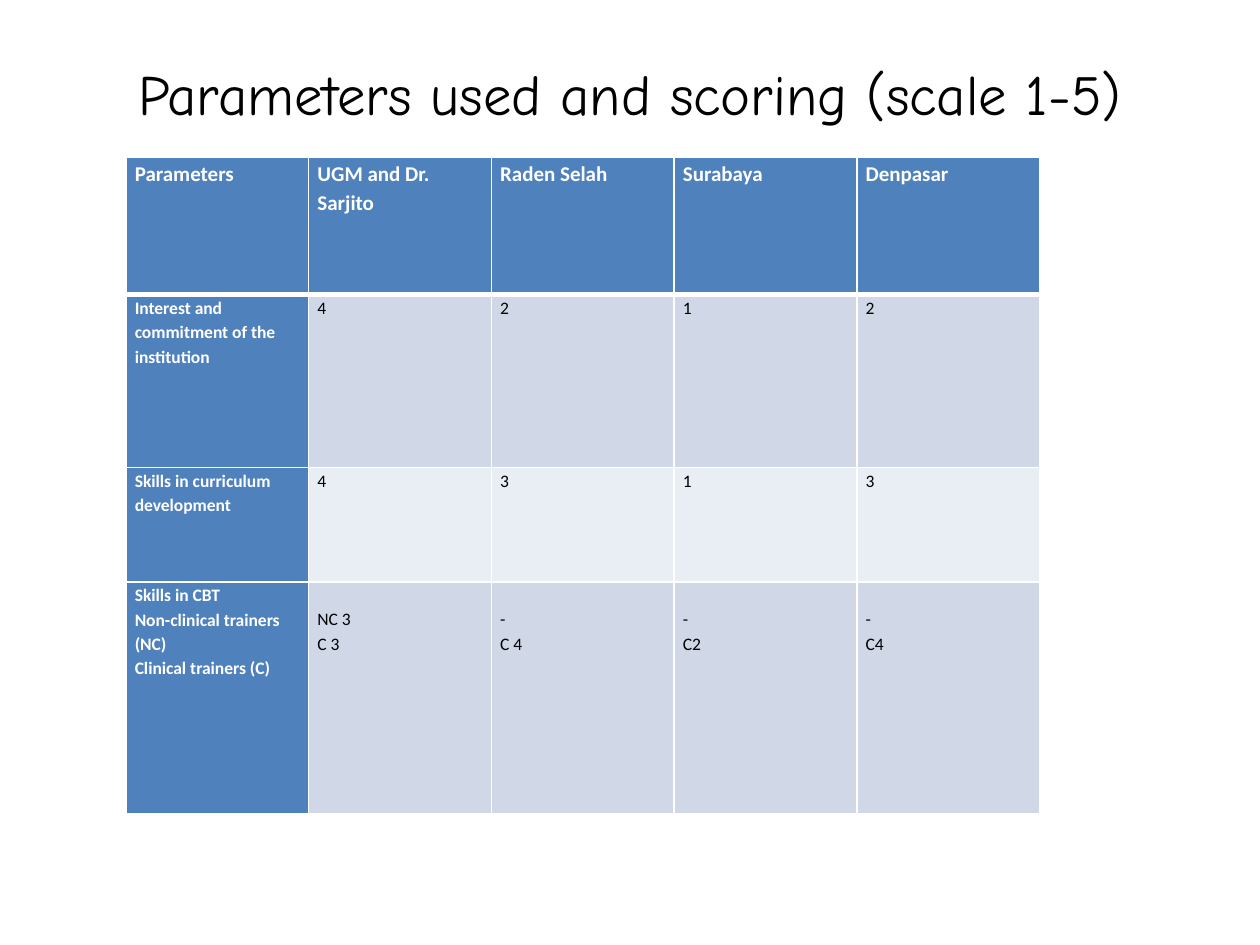
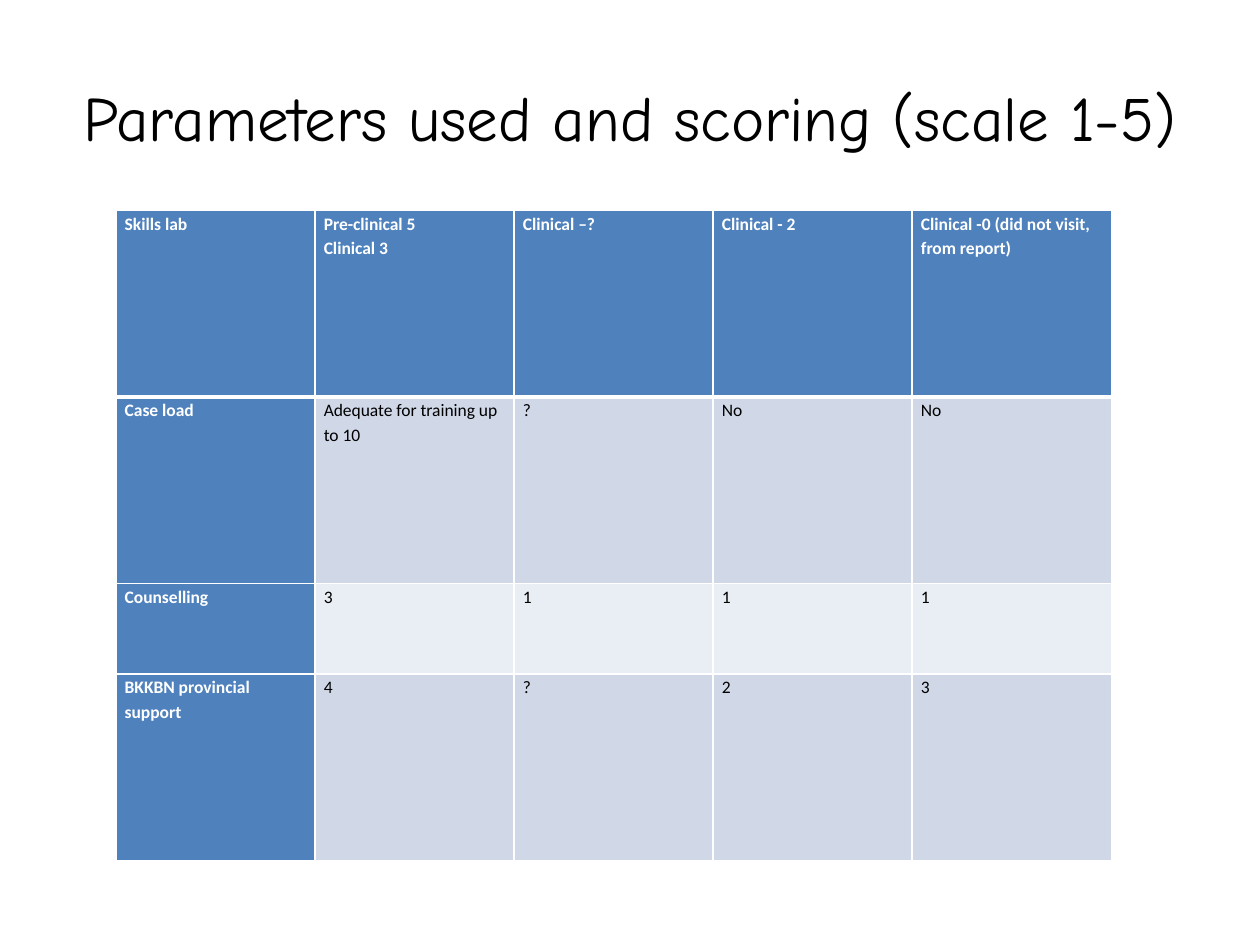
from dataclasses import dataclass

from lxml.etree import SubElement
from pptx import Presentation
from pptx.dml.color import RGBColor
from pptx.enum.text import MSO_ANCHOR, MSO_AUTO_SIZE, PP_ALIGN
from pptx.oxml.ns import qn
from pptx.util import Inches, Pt

TITLE = "Parameters used and scoring (scale 1-5)"
TITLE_FONT = "Comic Neue"
TABLE_FONT = "Calibri"
BLACK = "000000"
WHITE = "FFFFFF"
BLUE = "4F81BD"
BANDS = ("D0D8E8", "E9EDF4")
BODY_SIZE = 10
LINE_SPACING = 1.15
LINE_HEIGHT = 0.19  # one body line, in inches
THIN, THICK = 1, 3


@dataclass
class ScoreSlide:
    """One slide: a title and a table of scores."""
    title_size: float
    title_height: float
    left: float
    top: float
    column_width: float
    row_heights: list[float]
    header_size: float
    rows: list[list[str]]
    lowered_row: int | None = None  # scores start one line down, beside the sub-items


SLIDES = [
    ScoreSlide(
        title_size=32.4, title_height=0.87, left=1, top=1.25,
        column_width=1.45, row_heights=[1.09, 1.37, 0.91, 1.84], header_size=12,
        rows=[
            ["Parameters", "UGM and Dr. Sarjito", "Raden Selah", "Surabaya", "Denpasar"],
            ["Interest and commitment of the institution", "4", "2", "1", "2"],
            ["Skills in curriculum development", "4", "3", "1", "3"],
            ["Skills in CBT\nNon-clinical trainers (NC)\nClinical trainers (C)",
             "NC 3\nC 3", "-\nC 4", "-\nC2", "-\nC4"],
        ],
        lowered_row=3,
    ),
    ScoreSlide(
        title_size=36, title_height=1.25, left=0.92, top=1.67,
        column_width=1.58, row_heights=[1.48, 1.48, 0.72, 1.48], header_size=BODY_SIZE,
        rows=[
            ["Skills lab", "Pre-clinical 5\nClinical 3", "Clinical –?", "Clinical - 2",
             "Clinical -0 (did not visit, from report)"],
            ["Case load", "Adequate for training up to 10", "?", "No", "No"],
            ["Counselling", "3", "1", "1", "1"],
            ["BKKBN provincial support", "4", "?", "2", "3"],
        ],
    ),
]


def color(code: str) -> RGBColor:
    """Turn a hex string into a colour."""
    return RGBColor.from_string(code)


def set_font(font, name: str, size: float, code: str, bold: bool = False) -> None:
    """Set the typeface, size, colour and weight of a font."""
    font.name = name
    font.size = Pt(size)
    font.color.rgb = color(code)
    font.bold = bold


def add_title(page, spec_slide: ScoreSlide) -> None:
    """Place and format the title placeholder."""
    title = page.shapes.title
    title.left, title.top = Inches(0.5), Inches(0.3)
    title.width, title.height = Inches(9), Inches(spec_slide.title_height)
    frame = title.text_frame
    frame.text = TITLE
    frame.auto_size = MSO_AUTO_SIZE.NONE
    frame.vertical_anchor = MSO_ANCHOR.MIDDLE
    para = frame.paragraphs[0]
    para.alignment = PP_ALIGN.CENTER
    set_font(para.font, TITLE_FONT, spec_slide.title_size, BLACK)


def set_borders(cell, top: float, bottom: float) -> None:
    """Draw white borders, ahead of the fill as the schema requires."""
    properties = cell._tc.get_or_add_tcPr()
    widths = {"a:lnL": THIN, "a:lnR": THIN, "a:lnT": top, "a:lnB": bottom}
    for tag, width in widths.items():
        line = SubElement(properties, qn(tag), w=str(Pt(width)))
        fill = SubElement(line, qn("a:solidFill"))
        SubElement(fill, qn("a:srgbClr"), val=WHITE)


def fill_cell(cell, text: str, size: float, heading: bool, band: str) -> None:
    """Write and colour one cell."""
    cell.fill.solid()
    cell.fill.fore_color.rgb = color(BLUE if heading else band)
    cell.margin_left = cell.margin_right = Inches(0.07)
    cell.margin_top = cell.margin_bottom = 0
    cell.text_frame.text = text
    for para in cell.text_frame.paragraphs:
        para.line_spacing = LINE_SPACING
        set_font(para.font, TABLE_FONT, size, WHITE if heading else BLACK, heading)


def add_score_table(page, score: ScoreSlide) -> None:
    """Add the table with a blue header row and first column."""
    column_count = len(score.rows[0])
    table = page.shapes.add_table(
        len(score.rows), column_count, Inches(score.left), Inches(score.top),
        Inches(score.column_width * column_count), Inches(sum(score.row_heights)),
    ).table
    table.first_col = True
    for column in table.columns:
        column.width = Inches(score.column_width)
    for row_index, texts in enumerate(score.rows):
        table.rows[row_index].height = Inches(score.row_heights[row_index])
        size = score.header_size if row_index == 0 else BODY_SIZE
        band = BANDS[(row_index - 1) % 2]
        for column_index, text in enumerate(texts):
            cell = table.cell(row_index, column_index)
            set_borders(cell, top=THICK if row_index == 1 else THIN,
                        bottom=THICK if row_index == 0 else THIN)
            fill_cell(cell, text, size, row_index == 0 or column_index == 0, band)
            if row_index == score.lowered_row and column_index > 0:
                cell.margin_top = Inches(LINE_HEIGHT)


def main() -> None:
    """Build and save the deck."""
    deck = Presentation()
    deck.slide_width, deck.slide_height = Inches(10), Inches(7.5)
    title_only = deck.slide_layouts.get_by_name("Title Only")
    for score in SLIDES:
        page = deck.slides.add_slide(title_only)
        add_title(page, score)
        add_score_table(page, score)
    deck.save("out.pptx")


main()
